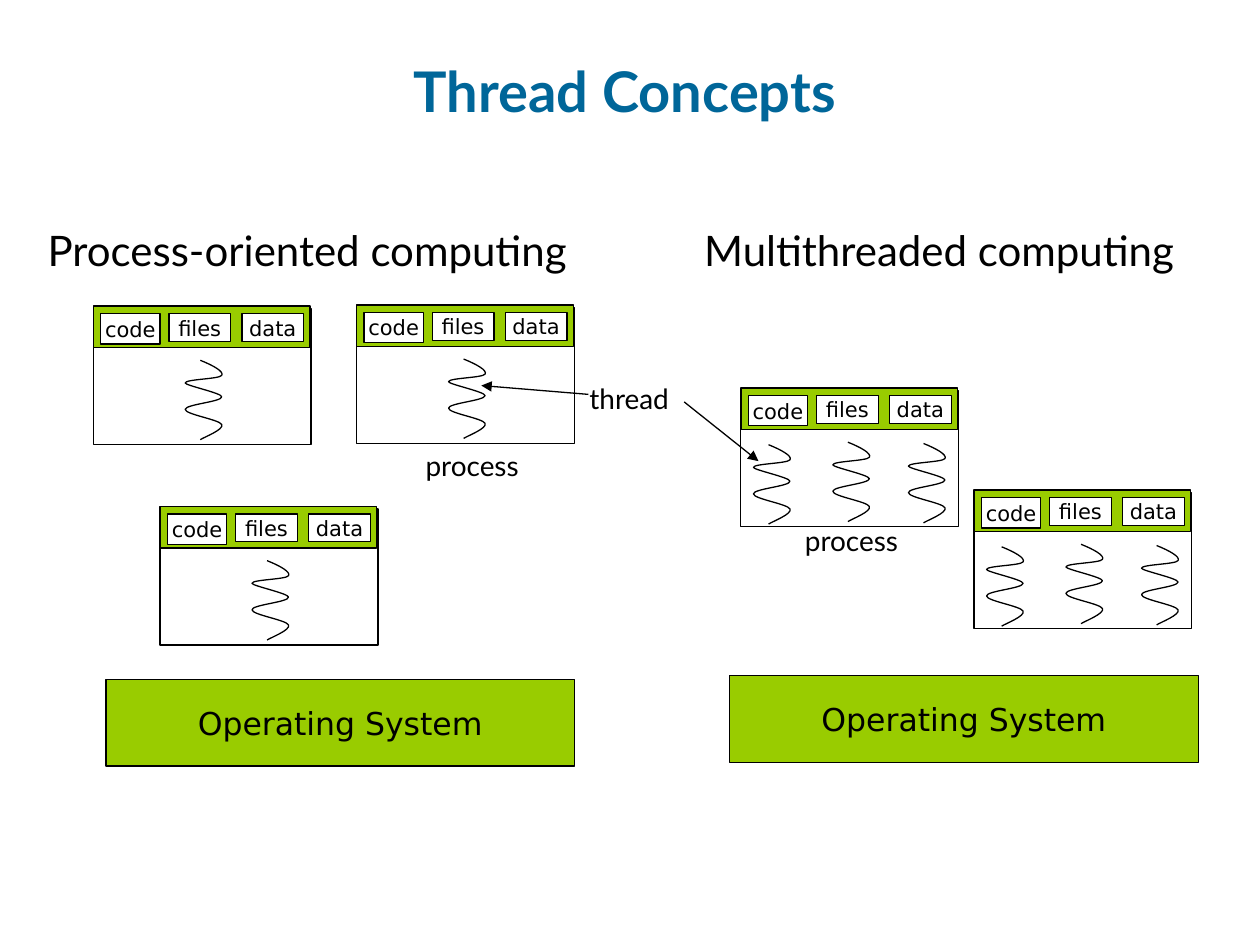
from dataclasses import dataclass

import lxml.etree
import pptx
import pptx.dml.color
import pptx.enum.shapes
import pptx.enum.text
import pptx.oxml
import pptx.oxml.ns
import pptx.util
from pptx.util import Inches

ANCHOR = pptx.enum.text.MSO_ANCHOR
ALIGN = pptx.enum.text.PP_ALIGN


@dataclass(frozen=True)
class Theme:
    title: str = "006699"
    ink: str = "000000"
    system: str = "99CC00"
    paper: str = "FFFFFF"
    heading_font: str = "Lato"
    diagram_font: str = "DejaVu Sans"
    title_size: int = 32
    heading_size: int = 24
    system_size: int = 18
    label_size: int = 16
    part_size: int = 12
    line_width: float = 0.75


THEME = Theme()

# Parts of a process, relative to its top left corner: name, left, top, width, height
PARTS = [
    ("code", 0.06, 0.06, 0.47, 0.24),
    ("files", 0.6, 0.06, 0.49, 0.22),
    ("data", 1.18, 0.06, 0.49, 0.22),
]
SINGLE_THREAD = [(0.73, 0.43)]
THREE_THREADS = [(0.73, 0.43), (1.33, 0.44), (0.1, 0.45)]

# The thread squiggle: a start point, then Bezier segments (two controls and an end)
THREAD_START = (0.12, 0)
THREAD_CURVES = [
    ((0.22, 0.04), (0.31, 0.09), (0.29, 0.12)),
    ((0.27, 0.15), (0, 0.15), (0, 0.18)),
    ((0, 0.2), (0.29, 0.26), (0.29, 0.29)),
    ((0.29, 0.33), (0, 0.35), (0, 0.39)),
    ((0, 0.43), (0.27, 0.47), (0.29, 0.51)),
    ((0.31, 0.55), (0.15, 0.61), (0.12, 0.63)),
]


def color(value):
    return pptx.dml.color.RGBColor.from_string(value)


def write(box, text, font, size, align, anchor, ink=THEME.ink, bold=False):
    frame = box.text_frame
    frame.word_wrap = False
    frame.vertical_anchor = anchor
    frame.text = text
    para = frame.paragraphs[0]
    para.alignment = align
    para.font.name = font
    para.font.size = pptx.util.Pt(size)
    para.font.bold = bold
    para.font.color.rgb = color(ink)


def outline(shape):
    shape.line.color.rgb = color(THEME.ink)
    shape.line.width = pptx.util.Pt(THEME.line_width)


def add_box(shapes, left, top, width, height, fill=None, text=None, size=None):
    box = shapes.add_shape(pptx.enum.shapes.MSO_SHAPE.RECTANGLE, Inches(left),
                           Inches(top), Inches(width), Inches(height))
    box.shadow.inherit = False
    outline(box)
    if fill:
        box.fill.solid()
        box.fill.fore_color.rgb = color(fill)
    else:
        box.fill.background()
    if text:
        write(box, text, THEME.diagram_font, size, ALIGN.CENTER, ANCHOR.MIDDLE)


def bend(shape):
    """Turn each three straight segments of a freeform into one Bezier curve."""
    route = shape._element.find(".//" + pptx.oxml.ns.qn("a:path"))
    segments = route.findall(pptx.oxml.ns.qn("a:lnTo"))
    for first in range(0, len(segments), 3):
        curve = lxml.etree.SubElement(route, pptx.oxml.ns.qn("a:cubicBezTo"))
        for segment in segments[first:first + 3]:
            curve.append(segment[0])
            route.remove(segment)


def add_thread(shapes, left, top):
    points = [THREAD_START] + [point for curve in THREAD_CURVES for point in curve]
    places = [(Inches(left + x), Inches(top + y)) for x, y in points]
    builder = shapes.build_freeform(*places[0])
    builder.add_line_segments(places[1:], close=False)
    thread = builder.convert_to_shape()
    bend(thread)
    thread.shadow.inherit = False
    thread.fill.background()
    outline(thread)


def add_process(page, left, top, threads):
    shapes = page.shapes.add_group_shape().shapes
    add_box(shapes, left, top + 0.02, 1.73, 1.08)
    add_box(shapes, left, top, 1.72, 0.33, THEME.system)
    for name, x, y, width, height in PARTS:
        add_box(shapes, left + x, top + y, width, height,
                THEME.paper, name, THEME.part_size)
    for x, y in threads:
        add_thread(shapes, left + x, top + y)


def add_label(page, text, left, top, width, height=0.37, size=THEME.label_size):
    box = page.shapes.add_textbox(Inches(left), Inches(top),
                                  Inches(width), Inches(height))
    write(box, text, THEME.heading_font, size, ALIGN.LEFT, ANCHOR.TOP)


def add_arrow(page, start, end):
    arrow = page.shapes.add_connector(
        pptx.enum.shapes.MSO_CONNECTOR.STRAIGHT,
        *(Inches(value) for value in start + end))
    outline(arrow)
    line = arrow.line._get_or_add_ln()
    head = pptx.oxml.parse_xml(
        f'<a:tailEnd {pptx.oxml.ns.nsdecls("a")} type="triangle"/>')
    line.append(head)
    line.addnext(pptx.oxml.parse_xml(
        f'<a:effectLst {pptx.oxml.ns.nsdecls("a")}/>'))


def add_title(page, text):
    title = page.shapes.title
    title.left, title.top = Inches(0.46), Inches(0.4)
    title.width, title.height = Inches(9), Inches(0.63)
    title.text_frame.auto_size = pptx.enum.text.MSO_AUTO_SIZE.NONE
    write(title, text, THEME.heading_font, THEME.title_size,
          ALIGN.CENTER, ANCHOR.BOTTOM, THEME.title, bold=True)


def add_system(page, left, top):
    add_box(page.shapes, left, top, 3.72, 0.69, THEME.system,
            "Operating System", THEME.system_size)


def add_process_side(page, left, top):
    add_system(page, left + 0.56, top + 3.66)
    for x, y in [(0.46, 0.7), (2.55, 0.69), (0.99, 2.29)]:
        add_process(page, left + x, top + y, SINGLE_THREAD)
    add_label(page, "Process-oriented computing", left, top, 4.63, 0.5,
              THEME.heading_size)


def add_multithreaded_side(page, left, top):
    add_system(page, left + 0.3, top + 3.63)
    add_label(page, "Multithreaded computing", left, top, 4.22, 0.5,
              THEME.heading_size)
    for x, y in [(0.39, 1.35), (2.24, 2.16)]:
        add_process(page, left + x, top + y, THREE_THREADS)


def add_callouts(page, left, top):
    add_label(page, "thread", left, top, 0.89)
    add_arrow(page, (left + 0.09, top + 0.15), (left - 0.76, top + 0.08))
    add_arrow(page, (left + 0.85, top + 0.21), (left + 1.44, top + 0.68))
    for x, y in [(-1.3, 0.53), (1.71, 1.13)]:
        add_label(page, "process", left + x, top + y, 1)


def main():
    deck = pptx.Presentation()
    deck.slide_width, deck.slide_height = Inches(10), Inches(7.5)
    page = deck.slides.add_slide(deck.slide_layouts.get_by_name("Title Only"))
    add_title(page, "Thread Concepts")
    add_process_side(page, 0.28, 1.73)
    add_multithreaded_side(page, 5.49, 1.73)
    add_callouts(page, 4.58, 2.98)
    deck.save("out.pptx")


if __name__ == "__main__":
    main()
